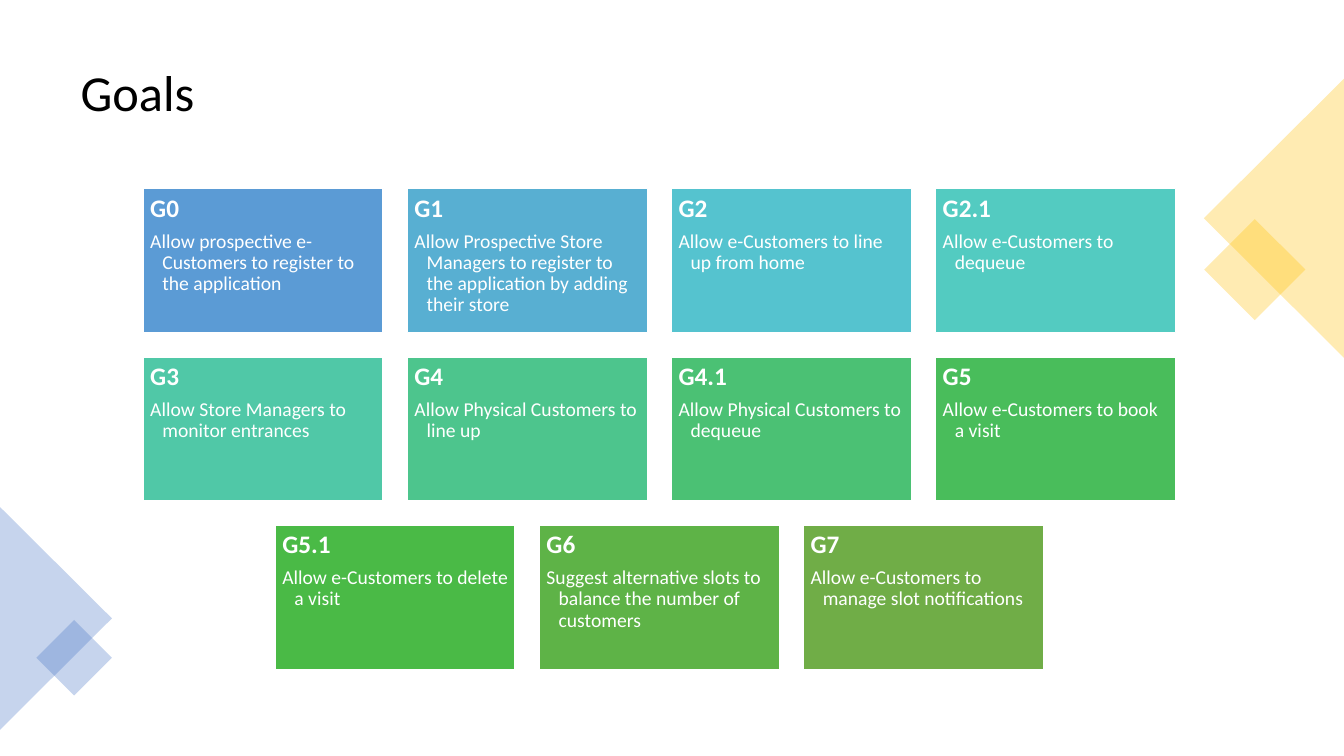
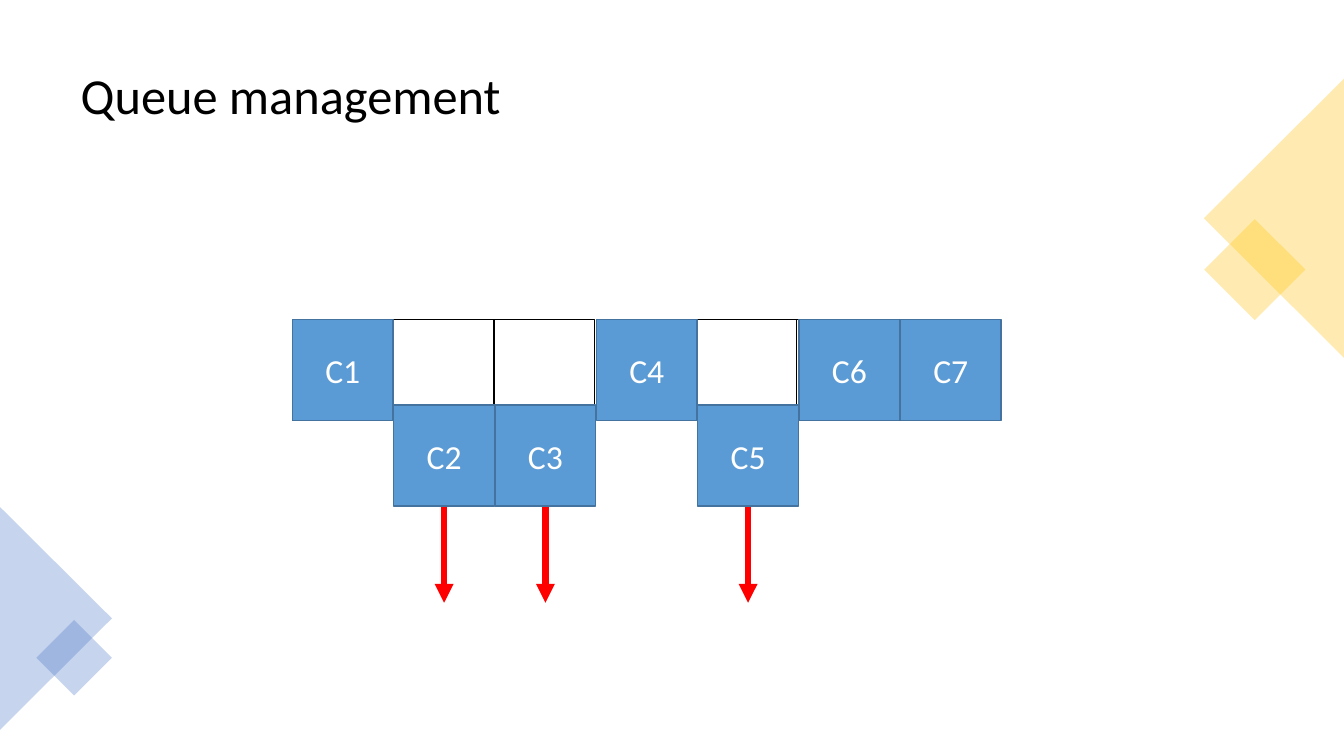
import pptx
import pptx.util
import pptx.dml.color
import pptx.enum.shapes
import pptx.enum.text
import pptx.oxml
import pptx.oxml.ns

Inches, Pt = pptx.util.Inches, pptx.util.Pt
SHAPE = pptx.enum.shapes.MSO_SHAPE
ALIGN = pptx.enum.text.PP_ALIGN
ANCHOR = pptx.enum.text.MSO_ANCHOR
qn = pptx.oxml.ns.qn

FONT = "Calibri"
COLORS = {
    "text": "000000", "white": "FFFFFF", "gold": "FFC000", "navy": "4472C4",
    "customer": "5B9BD5", "customer_edge": "43739E", "arrow": "FF0000",
}

# shape, left, top, width, height, rotation, colour
DECORATIONS = [
    (SHAPE.RECTANGLE, 12.09, 2.32, 0.71, 0.71, 45, "gold"),
    (SHAPE.ISOSCELES_TRIANGLE, 11.25, 1.47, 2.77, 1.39, 270, "gold"),
    (SHAPE.ISOSCELES_TRIANGLE, -0.55, 5.58, 2.21, 1.11, 90, "navy"),
    (SHAPE.RECTANGLE, 0.47, 6.26, 0.53, 0.53, 45, "navy"),
]

GOALS = [
    ("G0", "Allow prospective e-Customers to register to the application", "5B9BD5"),
    ("G1", "Allow Prospective Store Managers to register to the application by adding their store",
     "58AFD2"),
    ("G2", "Allow e-Customers to line up from home", "55C3CF"),
    ("G2.1", "Allow e-Customers to dequeue", "53CBC1"),
    ("G3", "Allow Store Managers to monitor entrances", "50C8A7"),
    ("G4", "Allow Physical Customers to line up", "4DC58D"),
    ("G4.1", "Allow Physical Customers to dequeue", "4BC174"),
    ("G5", "Allow e-Customers to book a visit", "49BD5B"),
    ("G5.1", "Allow e-Customers to delete a visit", "4ABA46"),
    ("G6", "Suggest alternative slots to balance the number of customers", "5EB347"),
    ("G7", "Allow e-Customers to manage slot notifications", "70AD47"),
]
GOAL_COLUMNS = 4
GOAL_LEFT, GOAL_TOP = 1.42, 1.87
GOAL_WIDTH, GOAL_HEIGHT, GOAL_GAP = 2.38, 1.43, 0.24

CUSTOMERS = ["C1", "C2", "C3", "C4", "C5", "C6", "C7"]
LEAVING = {"C2", "C3", "C5"}
NO_SLOT = {"C4"}
QUEUE_LEFT, QUEUE_RIGHT = 2.9, 8.93
QUEUE_TOP, LEAVING_TOP, BOX = 3.17, 4.02, 1
ARROW_END = 5.98


def rgb(color):
    return pptx.dml.color.RGBColor.from_string(color)


def add_run(p, text, size, color, bold=False):
    r = p.add_run()
    r.text = text
    r.font.name, r.font.size, r.font.bold = FONT, Pt(size), bold
    r.font.color.rgb = rgb(color)


def add_box(s, kind, left, top, width, height, fill, line=None):
    sp = s.shapes.add_shape(kind, Inches(left), Inches(top), Inches(width), Inches(height))
    sp.shadow.inherit = False
    sp.fill.solid()
    sp.fill.fore_color.rgb = rgb(fill)
    if line:
        sp.line.color.rgb = rgb(line)
        sp.line.width = Pt(1)
    else:
        sp.line.fill.background()
    return sp


def add_slide(prs, title, title_top):
    """Add a slide with the shared title style and corner decorations."""
    s = prs.slides.add_slide(prs.slide_layouts[5])
    sp = s.shapes.title
    sp.left, sp.top = Inches(0.7), Inches(title_top)
    sp.width, sp.height = Inches(11.93), Inches(1.24)
    tf = sp.text_frame
    tf.auto_size = pptx.enum.text.MSO_AUTO_SIZE.NONE
    tf.vertical_anchor = ANCHOR.MIDDLE
    p = tf.paragraphs[0]
    p.alignment, p.line_spacing = ALIGN.LEFT, 0.9
    add_run(p, title, 36, COLORS["text"])

    for kind, left, top, width, height, rotation, color in DECORATIONS:
        sp = add_box(s, kind, left, top, width, height, COLORS[color])
        sp.rotation = rotation
        srgb = sp.fill._xPr.find(qn("a:solidFill")).find(qn("a:srgbClr"))
        srgb.append(pptx.oxml.parse_xml(
            f'<a:alpha {pptx.oxml.ns.nsdecls("a")} val="30000"/>'))
    return s


def add_goal(s, left, top, name, goal, color):
    sp = add_box(s, SHAPE.RECTANGLE, left, top, GOAL_WIDTH, GOAL_HEIGHT, color, COLORS["white"])
    tf = sp.text_frame
    tf.word_wrap = True
    tf.vertical_anchor = ANCHOR.TOP
    tf.margin_left = tf.margin_right = tf.margin_top = tf.margin_bottom = Inches(0.07)
    heading, body = tf.paragraphs[0], tf.add_paragraph()
    for p in (heading, body):
        p.alignment, p.line_spacing = ALIGN.LEFT, 0.9
    heading.space_after = Pt(6)
    pPr = body._p.get_or_add_pPr()
    pPr.set("marL", str(Inches(0.12)))
    pPr.set("indent", str(Inches(-0.12)))
    add_run(heading, name, 18, COLORS["white"], bold=True)
    add_run(body, goal, 14, COLORS["white"])


def add_arrow(s, x, top, bottom):
    line = s.shapes.add_connector(pptx.enum.shapes.MSO_CONNECTOR.STRAIGHT,
                                  Inches(x), Inches(top), Inches(x), Inches(bottom))
    line.line.color.rgb = rgb(COLORS["arrow"])
    line.line.width = Pt(4.5)
    ns = pptx.oxml.ns.nsdecls("a")
    line.line._get_or_add_ln().append(pptx.oxml.parse_xml(f'<a:tailEnd {ns} type="triangle"/>'))
    line._element.spPr.append(pptx.oxml.parse_xml(f"<a:effectLst {ns}/>"))


def build_goals(prs):
    s = add_slide(prs, "Goals", 0.32)
    step_x, step_y = GOAL_WIDTH + GOAL_GAP, GOAL_HEIGHT + GOAL_GAP
    for i, goal in enumerate(GOALS):
        row, column = divmod(i, GOAL_COLUMNS)
        in_row = min(GOAL_COLUMNS, len(GOALS) - row * GOAL_COLUMNS)
        centring = (GOAL_COLUMNS - in_row) * step_x / 2
        add_goal(s, GOAL_LEFT + centring + column * step_x, GOAL_TOP + row * step_y, *goal)


def build_queue(prs):
    s = add_slide(prs, "Queue management", 0.35)
    step = (QUEUE_RIGHT - QUEUE_LEFT) / (len(CUSTOMERS) - 1)
    lefts = [QUEUE_LEFT + i * step for i in range(len(CUSTOMERS))]
    for i, name in enumerate(CUSTOMERS):
        if name not in NO_SLOT:
            add_box(s, SHAPE.RECTANGLE, QUEUE_LEFT + i * BOX, QUEUE_TOP, BOX, BOX,
                    COLORS["white"], COLORS["text"])
    for name, left in zip(CUSTOMERS, lefts):
        top = LEAVING_TOP if name in LEAVING else QUEUE_TOP
        if name in LEAVING:
            add_arrow(s, left + BOX / 2, top + BOX, ARROW_END)
        sp = add_box(s, SHAPE.RECTANGLE, left, top, BOX, BOX,
                     COLORS["customer"], COLORS["customer_edge"])
        tf = sp.text_frame
        tf.vertical_anchor = ANCHOR.MIDDLE
        p = tf.paragraphs[0]
        p.alignment = ALIGN.CENTER
        add_run(p, name, 24, COLORS["white"])


def main():
    prs = pptx.Presentation()
    prs.slide_width, prs.slide_height = Inches(13.33), Inches(7.5)
    build_goals(prs)
    build_queue(prs)
    prs.save("out.pptx")


if __name__ == "__main__":
    main()
